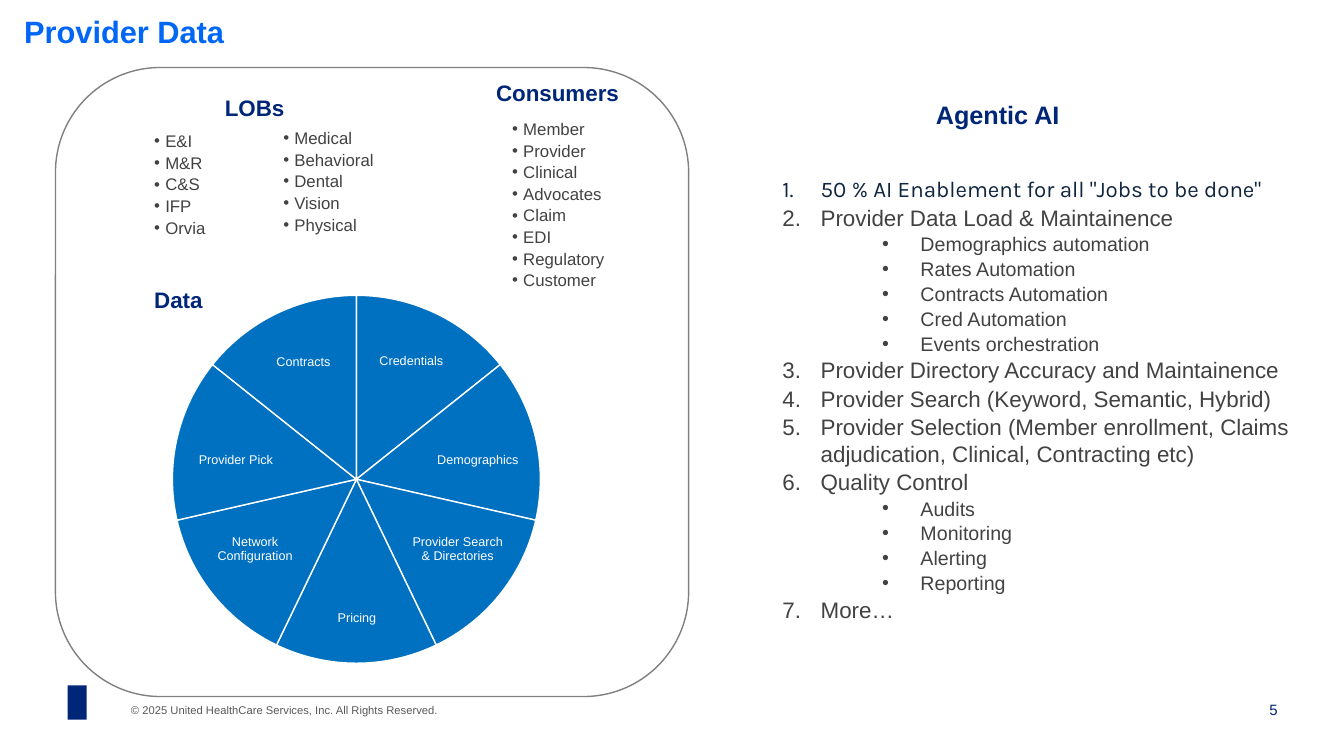
from pptx import Presentation
from pptx.dml.color import RGBColor
from pptx.enum.shapes import MSO_SHAPE
from pptx.enum.text import MSO_ANCHOR, PP_ALIGN
from pptx.util import Inches, Pt
from lxml.etree import SubElement
from pptx.oxml.ns import qn

NAVY, GREY, WHITE = "002677", "424242", "FFFFFF"
color = RGBColor.from_string

deck = Presentation()
deck.slide_width, deck.slide_height = Inches(13.33), Inches(7.5)
slide = deck.slides.add_slide(deck.slide_layouts[6])
shapes = slide.shapes


def write(place, lines, size, tint, bold=False, align=PP_ALIGN.LEFT,
          inset=0, anchor=MSO_ANCHOR.TOP, pitch=None):
    frame = shapes.add_textbox(*map(Inches, place)).text_frame
    frame.word_wrap = True
    frame.vertical_anchor = anchor
    frame.margin_left = frame.margin_right = Inches(inset)
    frame.margin_top = frame.margin_bottom = Inches(inset / 2)
    frame.text = "\n".join(lines)
    for par in frame.paragraphs:
        par.alignment = align
        if pitch:
            par.line_spacing = pitch
        font = par.runs[0].font
        font.name, font.size, font.bold = "Arial", Pt(size), bold
        font.color.rgb = color(tint)
    return frame


def mark(par, left, hang, number=False):
    props = par._p.get_or_add_pPr()
    props.set("marL", str(Inches(left)))
    props.set("indent", str(-Inches(hang)))
    if number:
        SubElement(props, qn("a:buAutoNum")).set("type", "arabicPeriod")
    else:
        SubElement(props, qn("a:buFont")).set("typeface", "Arial")
        SubElement(props, qn("a:buChar")).set("char", "•")


# Footer, with a plain block for the emblem
write((1.2, 6.93, 3.45, 0.24),
      ["© 2025 United HealthCare Services, Inc. All Rights Reserved."],
      8, "595959", inset=0.1)
badge = shapes.add_shape(MSO_SHAPE.RECTANGLE, *map(Inches, (0.67, 6.8, 0.19, 0.34)))
badge.shadow.inherit = False
badge.fill.solid()
badge.fill.fore_color.rgb = color(NAVY)
badge.line.fill.background()
write((12.26, 6.83, 0.51, 0.41), ["5"], 10.7, NAVY, align=PP_ALIGN.RIGHT,
      inset=0.1, anchor=MSO_ANCHOR.MIDDLE)

# Title and headings
write((0.24, 0.17, 12.38, 0.33), ["Provider Data"], 22, "0066F5", True, pitch=0.9)
for name, place, size, align in [
    ("LOBs", (1.25, 0.93, 2.55, 0.27), 16, PP_ALIGN.CENTER),
    ("Data", (1.53, 2.84, 2, 0.27), 16, PP_ALIGN.LEFT),
    ("Consumers", (4.92, 0.79, 1.65, 0.27), 16, PP_ALIGN.LEFT),
    ("Agentic AI", (8.62, 0.99, 2.55, 0.3), 18, PP_ALIGN.CENTER),
]:
    write(place, [name], size, NAVY, True, align)

# Short bullet lists
for left, top, items in [
    (1.53, 1.3, ["E&I", "M&R", "C&S", "IFP", "Orvia"]),
    (2.81, 1.27, ["Medical", "Behavioral", "Dental", "Vision", "Physical"]),
    (5.08, 1.18, ["Member", "Provider", "Clinical", "Advocates", "Claim",
                  "EDI", "Regulatory", "Customer"]),
]:
    frame = write((left, top, 1.1, 0.21 * len(items)), items, 12, GREY)
    for i, par in enumerate(frame.paragraphs):
        par.space_before = Pt(1 if i else 0)
        mark(par, 0.11, 0.11)

# Rounded frame
panel = shapes.add_shape(MSO_SHAPE.ROUNDED_RECTANGLE,
                         *map(Inches, (0.55, 0.67, 6.28, 6.24)))
panel.shadow.inherit = False
panel.fill.background()
panel.line.color.rgb = color("808080")
panel.line.width = Pt(1)

# Wheel of equal slices, clockwise from the top
parts = [
    ("Credentials", 3.58, 3.27, 1, 0.63),
    ("Demographics", 4.21, 4.23, 1.06, 0.67),
    ("Provider Search & Directories", 4.06, 5.1, 0.96, 0.7),
    ("Pricing", 3.05, 5.79, 0.98, 0.7),
    ("Network Configuration", 2.05, 5.1, 0.96, 0.7),
    ("Provider Pick", 1.81, 4.23, 1.06, 0.67),
    ("Contracts", 2.51, 3.28, 1, 0.63),
]
TURN = 216  # a full circle in adjustment units
for i, (name, *place) in enumerate(parts):
    wedge = shapes.add_shape(MSO_SHAPE.PIE, *map(Inches, (1.71, 2.93, 3.65, 3.65)))
    wedge.shadow.inherit = False
    for j in range(2):
        wedge.adjustments[j] = (TURN * 3 / 4 + (i + j) * TURN / len(parts)) % TURN
    wedge.fill.solid()
    wedge.fill.fore_color.rgb = color("0070C0")
    wedge.line.color.rgb = color(WHITE)
    wedge.line.width = Pt(1)
    write(place, [name], 9, WHITE, align=PP_ALIGN.CENTER, inset=0.01,
          anchor=MSO_ANCHOR.MIDDLE, pitch=0.9)

# Numbered plan with nested bullets
plan = [
    ('50 % AI Enablement for all "Jobs to be done"', []),
    ("Provider Data Load & Maintainence",
     ["Demographics automation", "Rates Automation", "Contracts Automation",
      "Cred Automation", "Events orchestration"]),
    ("Provider Directory Accuracy and Maintainence", []),
    ("Provider Search (Keyword, Semantic, Hybrid)", []),
    ("Provider Selection (Member enrollment, Claims adjudication, "
     "Clinical, Contracting etc)", []),
    ("Quality Control", ["Audits", "Monitoring", "Alerting", "Reporting"]),
    ("More…", []),
]
rows = [row for head, subs in plan
        for row in [(head, 0)] + [(sub, 1) for sub in subs]]
frame = write((7.76, 1.74, 5.23, 4.49), [name for name, _ in rows], 16, GREY)
for i, (par, (_, level)) in enumerate(zip(frame.paragraphs, rows)):
    par.level = level
    par.space_before = Pt(1 if i else 0)
    mark(par, 1.37 if level else 0.38, 0.38, number=not level)
    if level:
        par.runs[0].font.size = Pt(14)
lead = frame.paragraphs[0].runs[0].font
lead.name = "Karla"
lead.color.rgb = color("10253F")

deck.save("out.pptx")
